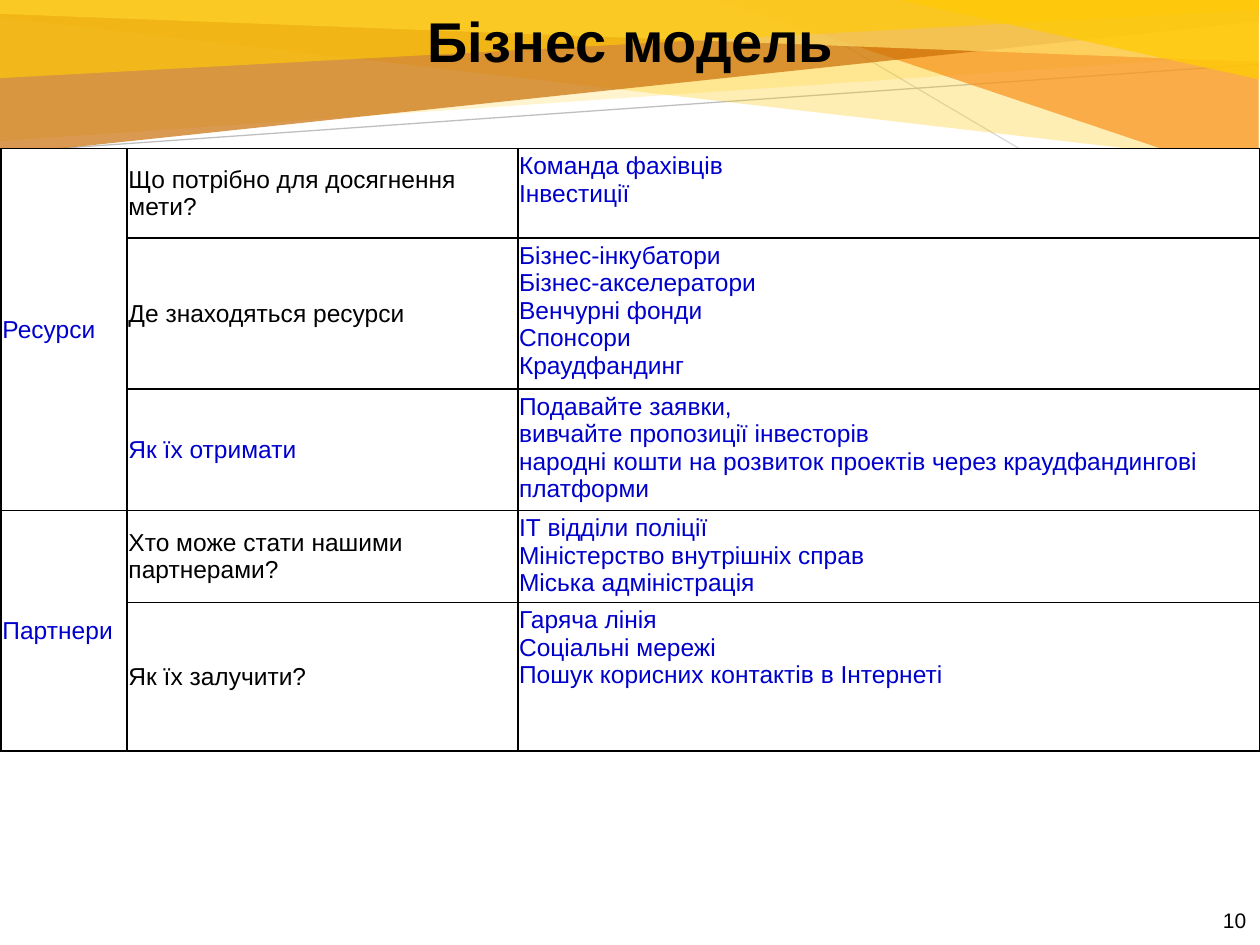
from dataclasses import dataclass

from lxml.etree import SubElement
from pptx import Presentation
from pptx.dml.color import RGBColor
from pptx.enum.shapes import MSO_CONNECTOR
from pptx.enum.text import MSO_ANCHOR, PP_ALIGN
from pptx.oxml.ns import qn
from pptx.util import Inches, Pt

BLACK = RGBColor(0x00, 0x00, 0x00)
WHITE = RGBColor(0xFF, 0xFF, 0xFF)
BLUE = RGBColor(0x00, 0x00, 0xCC)
GOLD = RGBColor(0xFF, 0xCA, 0x08)
PALE_GOLD = RGBColor(0xFF, 0xDF, 0x6B)
ORANGE = RGBColor(0xF8, 0x93, 0x1D)
BROWN = RGBColor(0xCA, 0x6F, 0x06)
LIGHT_GREY = RGBColor(0xD9, 0xD9, 0xD9)
GREY = RGBColor(0xBF, 0xBF, 0xBF)

WIDTH, HEIGHT = 10, 7.5
EDGE = 0.01
COLUMNS = (1, 3.1, 5.89)
ROWS = (0.71, 1.17, 0.95, 0.7, 1.18)


@dataclass(frozen=True)
class Ray:
    start: tuple[float, float]
    end: tuple[float, float]
    color: RGBColor


@dataclass(frozen=True)
class Band:
    """A translucent strip hanging from the top edge of the slide."""
    left: float
    left_depth: float
    right_depth: float
    color: RGBColor
    opacity: int


@dataclass(frozen=True)
class Question:
    text: str
    answers: tuple[str, ...]
    color: RGBColor = BLACK


@dataclass(frozen=True)
class Section:
    name: str
    questions: tuple[Question, ...]


RAYS = (
    Ray((9.99, 2.3), (6.09, 0), LIGHT_GREY),
    Ray((EDGE, 1.21), (9.99, 0.51), GREY),
)
BANDS = (
    Band(EDGE, 0.14, 1.3, GOLD, 30),
    Band(0, 1.12, 0.43, GOLD, 20),
    Band(5.71, 0, 1.44, ORANGE, 72),
    Band(0, 1.23, 0.17, BROWN, 70),
    Band(0, 0.11, 0.49, PALE_GOLD, 70),
    Band(0, 0.62, 0.08, GOLD, 65),
    Band(7.13, 0, 0.63, GOLD, 80),
)
SECTIONS = (
    Section("Ресурси", (
        Question("Що потрібно для досягнення мети?", ("Команда фахівців", "Інвестиції")),
        Question("Де знаходяться ресурси", (
            "Бізнес-інкубатори", "Бізнес-акселератори", "Венчурні фонди",
            "Спонсори", "Краудфандинг")),
        Question("Як їх отримати", (
            "Подавайте заявки,", "вивчайте пропозиції інвесторів",
            "народні кошти на розвиток проектів через краудфандингові платформи"), BLUE),
    )),
    Section("Партнери", (
        Question("Хто може стати нашими партнерами?", (
            "ІТ відділи поліції", "Міністерство внутрішніх справ", "Міська адміністрація")),
        Question("Як їх залучити?", (
            "Гаряча лінія", "Соціальні мережі", "Пошук корисних контактів в Інтернеті")),
    )),
)


def write(frame, *lines: str, size: float = 14, color: RGBColor = BLACK,
          bold: bool = False, align=PP_ALIGN.LEFT) -> None:
    frame.word_wrap = True
    for index, line in enumerate(lines):
        para = frame.add_paragraph() if index else frame.paragraphs[0]
        para.alignment = align
        span = para.add_run()
        span.text = line
        span.font.name = "Arial"
        span.font.size = Pt(size)
        span.font.bold = bold
        span.font.color.rgb = color


def add_text(page, text: str, left: float, top: float, width: float, height: float,
             anchor=MSO_ANCHOR.TOP, **style) -> None:
    box = page.shapes.add_textbox(*map(Inches, (left, top, width, height)))
    box.text_frame.vertical_anchor = anchor
    write(box.text_frame, text, **style)


def add_ray(page, ray: Ray) -> None:
    line = page.shapes.add_connector(
        MSO_CONNECTOR.STRAIGHT, *map(Inches, ray.start + ray.end))
    line.line.color.rgb = ray.color
    line.line.width = Pt(0.75)
    SubElement(line._element.spPr, qn("a:effectLst"))


def add_band(page, band: Band) -> None:
    right = WIDTH - EDGE
    corners = [(Inches(x), Inches(y)) for x, y in (
        (band.left, 0), (band.left, band.left_depth),
        (right, band.right_depth), (right, 0))]
    builder = page.shapes.build_freeform(*corners[0])
    builder.add_line_segments(corners[1:], close=True)
    shape = builder.convert_to_shape()
    shape.shadow.inherit = False
    shape.line.fill.background()
    shape.fill.solid()
    shape.fill.fore_color.rgb = band.color
    color = shape._element.spPr.find(qn("a:solidFill"))[0]
    SubElement(color, qn("a:alpha"), val=str(band.opacity * 1000))


def style_cell(cell) -> None:
    cell.margin_left = cell.margin_right = Inches(0.01)
    cell.margin_top = cell.margin_bottom = 0
    cell.vertical_anchor = MSO_ANCHOR.MIDDLE
    properties = cell._tc.get_or_add_tcPr()
    for side in ("lnL", "lnR", "lnT", "lnB"):
        border = SubElement(properties, qn(f"a:{side}"), w=str(Pt(1)))
        fill = SubElement(border, qn("a:solidFill"))
        SubElement(fill, qn("a:srgbClr"), val=str(BLACK))
    cell.fill.solid()
    cell.fill.fore_color.rgb = WHITE


def add_model_table(page, left: float, top: float) -> None:
    table = page.shapes.add_table(
        len(ROWS), len(COLUMNS),
        *map(Inches, (left, top, sum(COLUMNS), sum(ROWS)))).table
    table.first_row = table.horz_banding = False
    for column, width in zip(table.columns, COLUMNS):
        column.width = Inches(width)
    for row, height in zip(table.rows, ROWS):
        row.height = Inches(height)
    for cell in table.iter_cells():
        style_cell(cell)

    first = 0
    for section in SECTIONS:
        last = first + len(section.questions) - 1
        heading = table.cell(first, 0)
        heading.merge(table.cell(last, 0))
        write(heading.text_frame, section.name, color=BLUE)
        for row, question in enumerate(section.questions, first):
            write(table.cell(row, 1).text_frame, question.text, color=question.color)
            answer = table.cell(row, 2)
            answer.vertical_anchor = MSO_ANCHOR.TOP
            answer.margin_top = Inches(0.03)
            write(answer.text_frame, *question.answers, color=BLUE)
        first = last + 1


def main() -> None:
    deck = Presentation()
    deck.slide_width, deck.slide_height = Inches(WIDTH), Inches(HEIGHT)
    page = deck.slides.add_slide(deck.slide_layouts[6])

    # Header decoration
    for ray in RAYS:
        add_ray(page, ray)
    for band in BANDS:
        add_band(page, band)

    # Page number, title and table
    add_text(page, "10", 9.43, 7.1, 0.56, 0.4, MSO_ANCHOR.MIDDLE,
             size=12, align=PP_ALIGN.RIGHT)
    add_text(page, "Бізнес модель", EDGE, 0, WIDTH - EDGE, 0.64,
             size=32, bold=True, align=PP_ALIGN.CENTER)
    add_model_table(page, EDGE, 1.18)

    deck.save("out.pptx")


if __name__ == "__main__":
    main()
